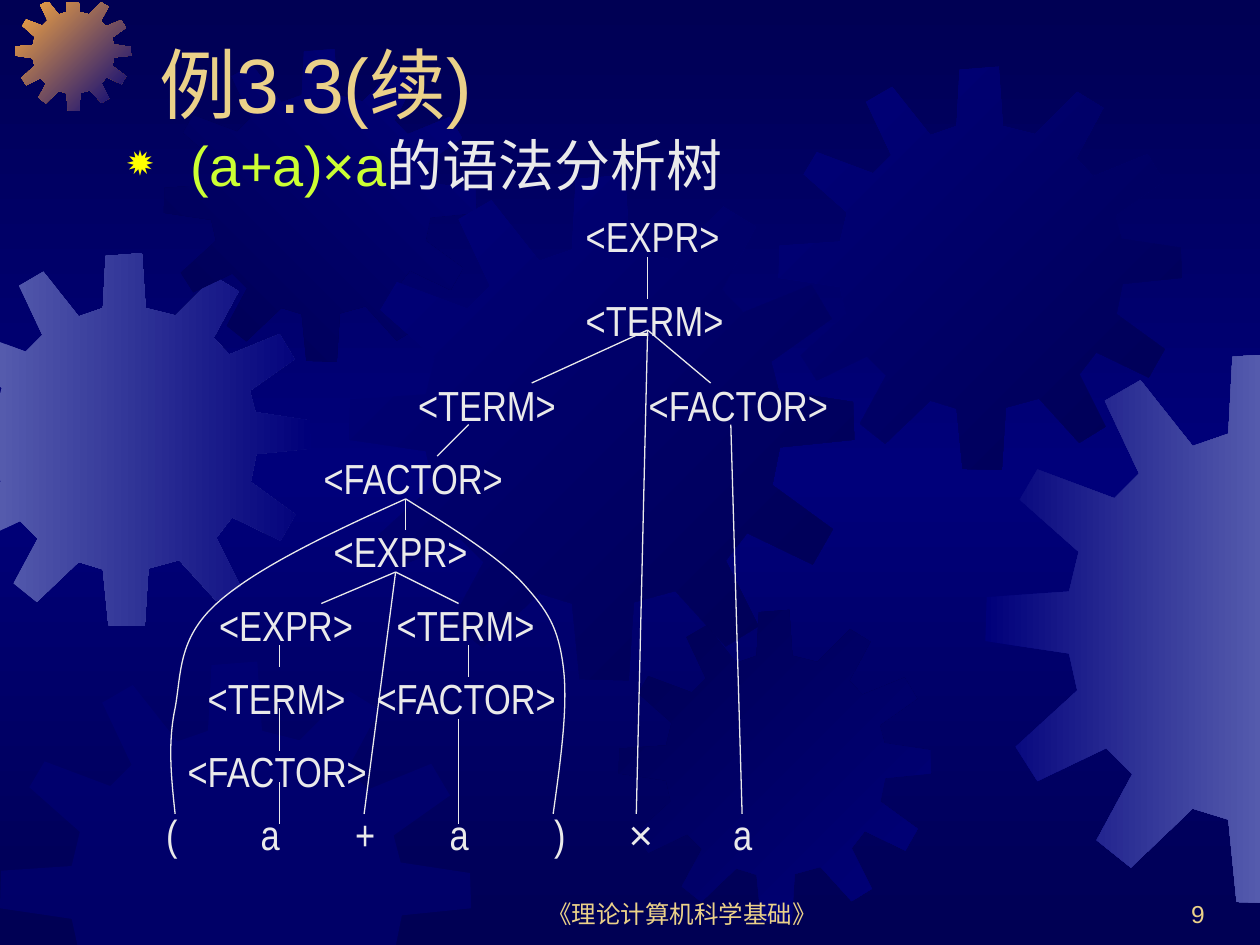
from copy import deepcopy

from lxml import etree
from pptx import Presentation
from pptx import util as u
from pptx.dml.color import RGBColor
from pptx.enum import shapes, text
from pptx.oxml import ns

NAVY = RGBColor(0x00, 0x00, 0x54)
BLUE = RGBColor(0x00, 0x00, 0x7A)
STEEL = RGBColor(0x55, 0x5B, 0xAD)
ORANGE = RGBColor(0xFC, 0xAB, 0x40)
GOLD = RGBColor(0xEB, 0xD1, 0x89)
PALE = RGBColor(0xEA, 0xEA, 0xEA)
LIME = RGBColor(0xCC, 0xFF, 0x33)

COG = [
    (255, 67), (223, 59), (219, 0), (180, 3), (177, 59), (151, 68), (113, 20),
    (87, 35), (112, 88), (94, 106), (38, 85), (25, 107), (68, 145), (61, 174),
    (1, 178), (0, 210), (61, 219), (67, 246), (22, 287), (38, 312), (88, 288),
    (107, 307), (81, 355), (106, 375), (151, 332), (177, 340), (183, 400),
    (222, 401), (226, 339), (259, 330), (299, 374), (325, 358), (299, 306),
    (316, 284), (368, 309), (384, 281), (336, 246), (342, 216), (401, 210),
    (400, 180), (341, 171), (335, 148), (383, 114), (367, 87), (313, 109),
    (296, 91), (323, 41), (297, 25)]
COG_SIZE = 401
EDGES = [(0, -0.01, 1), (0, 10.01, -1), (1, 0.02, 1), (1, 7.54, -1)]

GEARS = [
    (-0.49, 2.01, 2.96, STEEL, BLUE, 0),
    (0.12, -0.04, 0.92, ORANGE, BLUE, 45),
    (1.3, 0.39, 2.48, NAVY, BLUE, 315),
    (2.77, 1.39, 4.01, BLUE, NAVY, 45),
    (0, 5.25, 3.74, BLUE, None, 0),
    (4.91, 4.84, 2.48, NAVY, BLUE, 45),
    (6.18, 0.53, 3.2, BLUE, NAVY, 45),
    (7.82, 2.8, 4.37, BLUE, STEEL, 0)]

NODES = [
    ("<EXPR>", 3.33, 0), ("<TERM>", 3.33, 0.67), ("<TERM>", 2, 1.34),
    ("<FACTOR>", 3.83, 1.34), ("<FACTOR>", 1.25, 1.92), ("<EXPR>", 1.33, 2.5),
    ("<EXPR>", 0.42, 3.09), ("<TERM>", 1.83, 3.09), ("<TERM>", 0.33, 3.67),
    ("<FACTOR>", 1.67, 3.67), ("<FACTOR>", 0.17, 4.25)]
LEAVES = zip("(a+a)×a", (0, 0.75, 1.5, 2.25, 3.08, 3.67, 4.5))
LINKS = [
    ((3.92, 0.42), [(3.92, 0.75)]),
    ((3.92, 1), [(3, 1.42), (3.83, 4.84), (4.42, 1.42)]),
    ((2.5, 1.75), [(2.25, 2)]),
    ((2, 2.34), [(2, 2.59)]),
    ((1.92, 2.92), [(1.67, 4.84), (1.33, 3.17), (2.42, 3.17)]),
    ((1, 3.5), [(1, 3.67)]),
    ((1, 4), [(1, 4.34)]),
    ((1, 4.59), [(1, 4.92)]),
    ((2.5, 3.5), [(2.5, 3.75)]),
    ((2.42, 4.09), [(2.42, 4.92)]),
    ((4.58, 1.75), [(4.67, 4.84)])]
CURVES = [
    [(0.17, 4.84), (0.14, 4.56), (0.11, 4.28), (0.17, 4), (0.22, 3.73),
     (0.19, 3.45), (0.5, 3.17), (0.81, 2.89), (1.4, 2.61), (2, 2.34)],
    [(3.17, 4.84), (3.23, 4.41), (3.29, 3.98), (3.25, 3.67), (3.21, 3.36),
     (3.13, 3.23), (2.92, 3), (2.71, 2.78), (2.35, 2.56), (2, 2.34)]]


def size(inches):
    return u.Cm(inches * 2.54)


def shade(fill, first, last, angle):
    fill.gradient()
    fill.gradient_angle = -angle % 360
    for stop, color, place in zip(fill.gradient_stops, (first, last), (0, 1)):
        stop.color.rgb = color
        stop.position = place


def backdrop(slide):
    shade(slide.background.fill, NAVY, BLUE, 90)
    stops = slide.element.find(".//" + ns.qn("a:gsLst"))
    stops[1].set("pos", "50000")
    end = deepcopy(stops[0])
    end.set("pos", "100000")
    stops.append(end)


def clip(points, axis, bound, sign):
    kept = []
    for start, end in zip(points[-1:] + points[:-1], points):
        inner, outer = [(p[axis] - bound) * sign for p in (start, end)]
        if inner * outer < 0:
            part = inner / (inner - outer)
            kept.append(tuple(a + (b - a) * part for a, b in zip(start, end)))
        if outer >= 0:
            kept.append(end)
    return kept


def outline(slide, points, close):
    first, *rest = [(size(x), size(y)) for x, y in points]
    pen = slide.shapes.build_freeform(*first)
    pen.add_line_segments(rest, close=close)
    shape = pen.convert_to_shape()
    shape.shadow.inherit = False
    return shape


def gear(slide, left, top, width, first, last, angle):
    unit = width / COG_SIZE
    points = [(left + x * unit, top + y * unit) for x, y in COG]
    for edge in EDGES:
        points = clip(points, *edge)
    shape = outline(slide, points, True)
    shape.line.fill.background()
    if last is not None:
        shade(shape.fill, first, last, angle)
        return
    shape.fill.solid()
    shape.fill.fore_color.rgb = first
    color = shape.element.spPr.find(".//" + ns.qn("a:srgbClr"))
    etree.SubElement(color, ns.qn("a:alpha"), val="50000")


def label(slide, box, runs, points, face="Arial", align="LEFT", anchor="TOP"):
    frame = slide.shapes.add_textbox(*map(size, box)).text_frame
    frame.word_wrap = True
    frame.vertical_anchor = text.MSO_ANCHOR[anchor]
    para = frame.paragraphs[0]
    para.alignment = text.PP_ALIGN[align]
    for words, color in runs:
        run = para.add_run()
        run.text = words
        for name, value in {"size": u.Pt(points), "name": face}.items():
            setattr(run.font, name, value)
        run.font.color.rgb = color
    return para


def heading(slide, left, top):
    label(slide, (left + 0.26, top, 8.5, 1.25), [("例3.3(续)", GOLD)], 44,
          anchor="BOTTOM")
    runs = [(" ", PALE), ("(a+a)×a", LIME), ("的语法分析树", PALE)]
    para = label(slide, (left, top + 1.17, 8.5, 0.83), runs, 32)
    props = para._p.get_or_add_pPr()
    for name, value in {"marL": 0.38, "indent": -0.38}.items():
        props.set(name, str(size(value)))
    tint = etree.SubElement(props, ns.qn("a:buClr"))
    etree.SubElement(tint, ns.qn("a:srgbClr"), val="FFFF00")
    etree.SubElement(props, ns.qn("a:buSzPct"), val="80000")
    etree.SubElement(props, ns.qn("a:buChar"), char="✹")


def stroke(shape):
    shape.line.color.rgb = PALE
    shape.line.width = u.Pt(0.75)


def link(slide, start, end):
    line = slide.shapes.add_connector(
        shapes.MSO_CONNECTOR.STRAIGHT, *map(size, start + end))
    stroke(line)
    etree.SubElement(line.element.spPr, ns.qn("a:effectLst"))


def curve(slide, points):
    shape = outline(slide, points, False)
    shape.fill.background()
    stroke(shape)
    track = shape.element.spPr.find(".//" + ns.qn("a:path"))
    steps = track.findall(ns.qn("a:lnTo"))
    for i in range(0, len(steps), 3):
        bend = etree.SubElement(track, ns.qn("a:cubicBezTo"))
        for step in steps[i:i + 3]:
            bend.append(step[0])
            track.remove(step)


def tree(slide, left, top):
    def shift(point):
        return left + point[0], top + point[1]

    for sign, x in LEAVES:
        face = "Arial" if sign == "×" else "Arial Narrow"
        label(slide, (*shift((x, 4.75)), 0.67, 0.5), [(sign, PALE)], 24, face)
    for name, x, y in NODES:
        label(slide, (*shift((x, y)), 1.92, 0.5), [(name, PALE)], 24,
              "Arial Narrow")
    for start, ends in LINKS:
        for end in ends:
            link(slide, shift(start), shift(end))
    for points in CURVES:
        curve(slide, [shift(point) for point in points])


def footer(slide, left, top):
    label(slide, (left, top, 3.17, 0.5), [("《理论计算机科学基础》", GOLD)], 14,
          align="CENTER", anchor="BOTTOM")
    label(slide, (left + 3.75, top, 2.08, 0.5), [("9", GOLD)], 14,
          align="RIGHT", anchor="BOTTOM")


def main():
    deck = Presentation()
    deck.slide_width, deck.slide_height = size(10), size(7.5)
    slide = deck.slides.add_slide(deck.slide_layouts[6])
    backdrop(slide)
    for spec_row in GEARS:
        gear(slide, *spec_row)
    footer(slide, 3.83, 6.92)
    heading(slide, 0.91, -0.18)
    tree(slide, 1.22, 1.62)
    deck.save("out.pptx")


if __name__ == "__main__":
    main()
